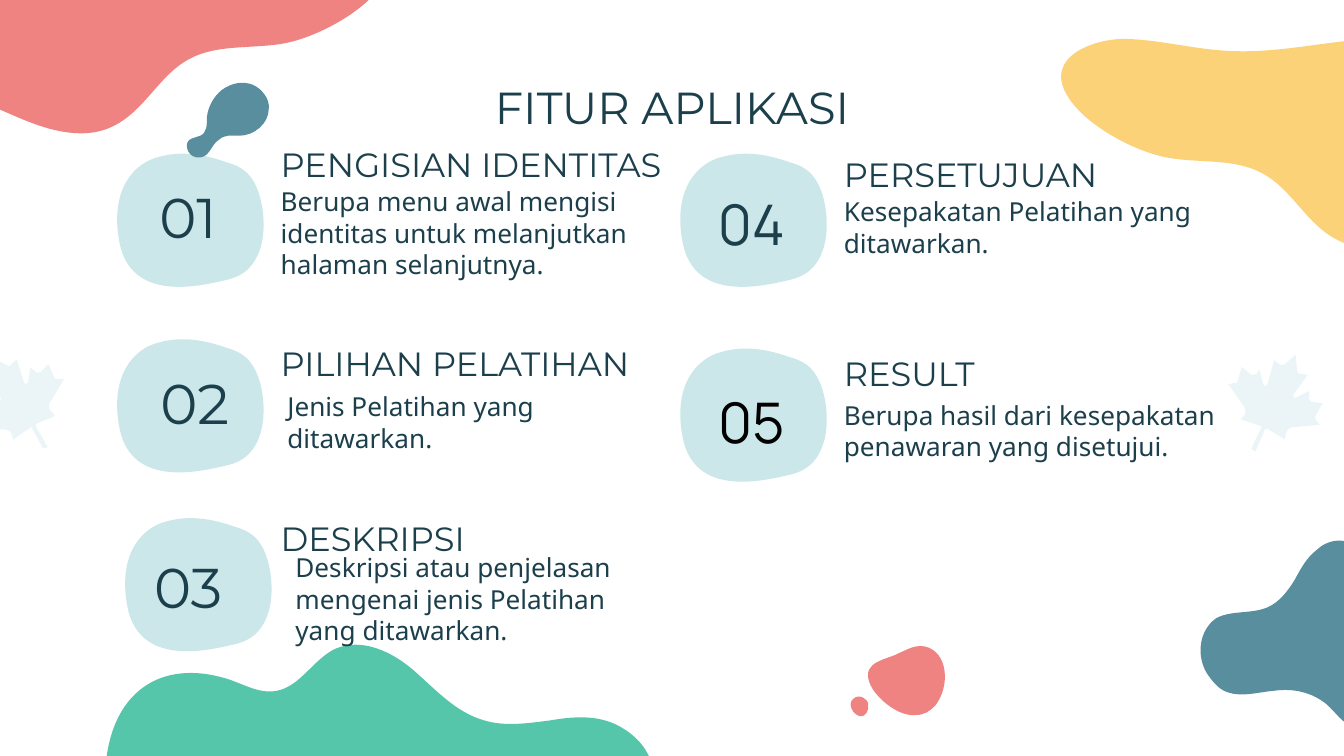
from math import cos, radians, sin

from lxml import etree
from pptx import Presentation
from pptx import util as u
from pptx.dml.color import RGBColor
from pptx.enum import text
from pptx.oxml.ns import qn

HUES = {"ink": "1C3F4C", "black": "000000", "pale": "CBE7EA", "green": "56C6AA",
        "gold": "FCD279", "coral": "EE8381", "teal": "588E9E"}
UNIT = 0.72  # points per outline unit

# Outlines: a start point, then lines (2 numbers) and cubic curves (6 numbers)
HILL = [(78, 583), (78, 648, 117, 674, 165, 662), (178, 658, 192, 649, 206, 651),
        (223, 654, 233, 674, 249, 682), (269, 691, 284, 682, 300, 668),
        (316, 654, 335, 644, 356, 638), (372, 633, 394, 628, 410, 630),
        (427, 632, 445, 633, 460, 625), (475, 617, 487, 604, 487, 583),
        (487, 561, 475, 548, 460, 540), (445, 532, 427, 533, 410, 536),
        (394, 538, 376, 541, 360, 536), (339, 530, 324, 513, 308, 499),
        (292, 485, 269, 474, 249, 483), (233, 491, 223, 511, 206, 514),
        (192, 517, 178, 507, 165, 504), (117, 491, 78, 517, 78, 583)]
WAVE = [(867, 117), (892, 122, 919, 117, 941, 130), (962, 142, 973, 168, 996, 179),
        (1014, 188, 1036, 184, 1055, 177), (1074, 170, 1092, 160, 1111, 155),
        (1139, 148, 1171, 152, 1194, 134), (1216, 118, 1221, 86, 1210, 61),
        (1199, 36, 1173, 20, 1146, 16), (1130, 14, 1113, 16, 1096, 19),
        (1058, 24, 1020, 28, 982, 33), (960, 36, 938, 39, 916, 38),
        (890, 37, 865, 30, 839, 29), (817, 28, 776, 41, 794, 71),
        (807, 93, 843, 112, 867, 117)]
SHORE = [(1006, 405), (999, 400, 987, 402, 980, 409), (972, 415, 968, 423, 963, 432),
         (958, 440, 952, 448, 943, 452), (931, 457, 916, 454, 905, 460),
         (892, 469, 890, 488, 898, 501), (902, 507, 907, 513, 913, 515),
         (924, 519, 936, 515, 948, 514), (962, 512, 976, 515, 987, 524),
         (994, 530, 999, 539, 1008, 541)]
LEAF = [(16, -36), (8, -29), (7, -28, 5, -28, 4, -29), (0, -32), (-5, -14),
        (-5, -13, -6, -13, -7, -13), (-8, -14), (-11, -25), (-13, -22),
        (-14, -21, -16, -21, -17, -21), (-18, -22), (-24, -27), (-27, -17),
        (-27, -15, -28, -15, -30, -15), (-34, -14), (-22, 3),
        (-21, 5, -21, 7, -22, 9), (-25, 12), (-10, 17), (-9, 18, -9, 18, -10, 19),
        (-17, 34), (-14, 36), (-7, 20), (-7, 19, -6, 19, -5, 19), (8, 27), (9, 22),
        (9, 20, 11, 18, 13, 18), (34, 16), (31, 12), (30, 11, 30, 10, 31, 9),
        (36, 0), (28, -1), (27, -2), (26, -2, 25, -4, 26, -5), (26, -9), (16, -4),
        (14, -4, 14, -5, 14, -6), (25, -21), (20, -22), (18, -22),
        (18, -23, 17, -24, 17, -25), (16, -36)]
BLOB = [(88, 9), (95, 11, 102, 14, 107, 22), (115, 34, 118, 59, 112, 75),
        (106, 91, 95, 95, 85, 97), (67, 101, 17, 113, 8, 69),
        (0, 28, 20, 9, 37, 5), (54, 0, 71, 3, 88, 9)]
STONE = [(696, 525), (707, 511, 706, 485, 688, 481), (680, 480, 676, 483, 669, 486),
         (660, 491, 641, 492, 647, 508), (651, 519, 669, 534, 682, 532),
         (688, 532, 692, 529, 696, 525)]
PEBBLE = [(635, 520), (630, 524, 635, 532, 640, 533), (644, 534, 647, 528, 646, 524),
          (646, 522, 644, 520, 642, 519), (640, 518, 637, 518, 635, 520)]
DROP = [(163, 104), (167, 100, 172, 101, 178, 101), (189, 101, 200, 92, 200, 81),
        (201, 74, 195, 66, 188, 63), (180, 60, 172, 62, 165, 67),
        (159, 72, 155, 79, 154, 87), (154, 93, 154, 99, 149, 101),
        (147, 102, 145, 102, 143, 103), (136, 105, 139, 116, 146, 117),
        (156, 119, 157, 107, 163, 104)]

# number, number font, blob corner, number corner, heading, its box, body, its box
ITEMS = [
    ("01", "Montserrat", (58.3, 80.6), (71.3, 83.5),
     "PENGISIAN IDENTITAS", (143.3, 73.4, 229.7, 29.5),
     "Berupa menu awal mengisi identitas untuk melanjutkan halaman selanjutnya.",
     (143.3, 100.1, 216.7, 49)),
    ("02", "Montserrat", (58.3, 180), (74.9, 182.9),
     "PILIHAN PELATIHAN", (143.3, 180, 209.5, 29.5),
     "Jenis Pelatihan yang ditawarkan.", (146.9, 208.1, 201.6, 36)),
    ("03", "Montserrat", (62.6, 275.8), (71.3, 281.5),
     "DESKRIPSI", (143.3, 273.6, 201.6, 29.5),
     "Deskripsi atau penjelasan mengenai jenis Pelatihan yang ditawarkan.",
     (151.2, 310.3, 213.8, 20.9)),
    ("04", "Manrope", (360, 80.6), (373, 87.1),
     "PERSETUJUAN", (445, 78.5, 201.6, 29.5),
     "Kesepakatan Pelatihan yang ditawarkan.", (445, 103.7, 201.6, 36)),
    ("05", "Manrope", (360, 185), None,
     "RESULT", (445, 185, 201.6, 29.5),
     "Berupa hasil dari kesepakatan penawaran yang disetujui.",
     (445, 213.8, 218.9, 33.8)),
]


def bend(shape, route):
    """Join each three lines that stand for a curve into one cubic curve."""
    lines = iter(list(shape.element.iter(qn("a:lnTo"))))
    for part in route[1:]:
        first = next(lines)
        if len(part) == 6:
            first.tag = qn("a:cubicBezTo")
            for line in (next(lines), next(lines)):
                first.append(line[0])
                line.getparent().remove(line)


def form(shapes, route, hue, at=(0, 0), turn=0, flip=1, alpha=None):
    """Draw an outline, mirrored if flip is -1, turned, then moved to at (points)."""
    c, s = cos(radians(turn)), sin(radians(turn))
    dots = []
    for part in route:
        for x, y in zip(part[::2], part[1::2]):
            x *= flip
            dots.append((u.Pt(at[0] + UNIT * (x * c - y * s)),
                         u.Pt(at[1] + UNIT * (x * s + y * c))))
    pen = shapes.build_freeform(*dots[0])
    pen.add_line_segments(dots[1:], close=True)
    shape = pen.convert_to_shape()
    bend(shape, route)
    shape.shadow.inherit = False
    shape.line.fill.background()
    shape.fill.solid()
    shape.fill.fore_color.rgb = RGBColor.from_string(HUES[hue])
    if alpha:
        tint = next(shape.element.iter(qn("a:srgbClr")))
        etree.SubElement(tint, qn("a:alpha")).set("val", str(alpha * 1000))
    return shape


def write(shape, words, font, size, hue="ink", mid=False):
    frame = shape.text_frame
    frame.word_wrap = True
    frame.auto_size = text.MSO_AUTO_SIZE.NONE
    frame.vertical_anchor = text.MSO_ANCHOR.MIDDLE
    frame.margin_left = frame.margin_right = u.Pt(7.2)
    frame.margin_top = frame.margin_bottom = u.Pt(7.2)
    para = frame.paragraphs[0]
    para.alignment = text.PP_ALIGN.CENTER if mid else text.PP_ALIGN.LEFT
    run = para.add_run()
    run.text = words
    run.font.name = font
    run.font.size = u.Pt(size)
    run.font.color.rgb = RGBColor.from_string(HUES[hue])


def label(shapes, box, *args, **kinds):
    write(shapes.add_textbox(*map(u.Pt, box)), *args, **kinds)


def head(shapes, words):
    title = shapes.title
    title.left, title.top, title.width, title.height = map(u.Pt, (56, 42.5, 608, 29.5))
    write(title, words, "Montserrat", 24, mid=True)


def decor(shapes):
    form(shapes, HILL, "green")
    form(shapes, WAVE, "gold")
    form(shapes, WAVE, "coral", at=(777.6, -61.2), flip=-1)
    form(shapes, SHORE, "teal")
    form(shapes, LEAF, "pale", at=(682.6, 216), alpha=38)
    form(shapes, LEAF, "pale", at=(10.6, 216), turn=-53.9, alpha=38)
    group = shapes.add_group_shape()
    for route in (STONE, PEBBLE):
        form(group.shapes, route, "coral")


def item(shapes, num, font, spot, place, name, top, body, box):
    blob = form(shapes, BLOB, "pale", at=spot)
    if place:
        label(shapes, (*place, 59, 64.8), num, font, 30, mid=True)
    else:
        write(blob, num, font, 30, "black", mid=True)
    label(shapes, top, name, "Montserrat", 18)
    label(shapes, box, body, "Noto Sans", 14)


def main():
    deck = Presentation()
    deck.slide_width, deck.slide_height = u.Pt(720), u.Pt(405)
    shapes = deck.slides.add_slide(deck.slide_layouts[5]).shapes
    decor(shapes)
    head(shapes, "FITUR APLIKASI")
    for row in ITEMS:
        item(shapes, *row)
    form(shapes, DROP, "teal")
    deck.save("out.pptx")


if __name__ == "__main__":
    main()
